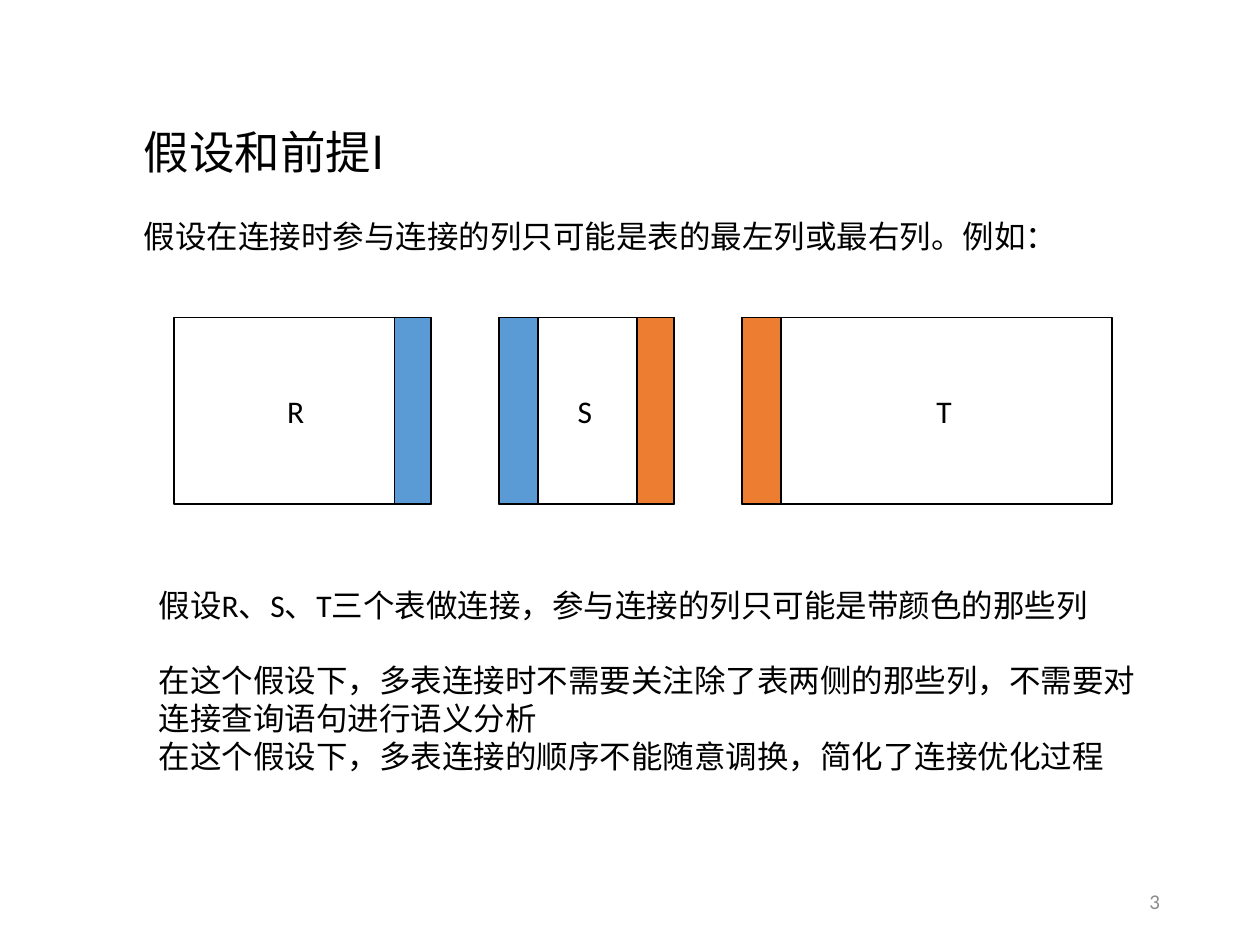
from pptx import Presentation
from pptx.dml.color import RGBColor
from pptx.enum import shapes, text
from pptx.oxml.ns import qn
from pptx.util import Pt

COLORS = {"black": "000000", "white": "FFFFFF", "blue": "5B9BD5",
          "orange": "ED7D31", "gray": "8C8C8C"}
LATIN, CJK = "Calibri", "Noto Sans CJK SC"
BLANK_LINE = 21.5


def color(name):
    return RGBColor.from_string(COLORS[name])


def place(shape, box):
    shape.left, shape.top, shape.width, shape.height = map(Pt, box)


def write(frame, lines, wrap=True, anchor=text.MSO_ANCHOR.TOP,
          align=text.PP_ALIGN.LEFT, ink="black"):
    """Fill a frame with lines of (words, size, font, space before)."""
    frame.word_wrap = wrap
    frame.auto_size = text.MSO_AUTO_SIZE.NONE
    frame.vertical_anchor = anchor
    for index, (words, size, font, gap) in enumerate(lines):
        para = frame.add_paragraph() if index else frame.paragraphs[0]
        para.text = words
        para.alignment = align
        para.line_spacing = 1.0
        para.space_before, para.space_after = Pt(gap), Pt(0)
        para.font.name, para.font.size = font, Pt(size)
        para.font.color.rgb = color(ink)


def add_heading(page, box):
    title = page.shapes.title
    place(title, box)
    write(title.text_frame, [
        ("假设和前提I", 26, CJK, 0),
        ("假设在连接时参与连接的列只可能是表的最左列或最右列。例如：", 18, LATIN, BLANK_LINE),
    ])


def add_rectangle(group, box, fill):
    rectangle = group.shapes.add_shape(shapes.MSO_SHAPE.RECTANGLE, *map(Pt, box))
    rectangle.shadow.inherit = False
    rectangle.fill.solid()
    rectangle.fill.fore_color.rgb = color(fill)
    rectangle.line.color.rgb = color("black")
    rectangle.line.width = Pt(1)


def add_relation(group, box, name, label_center, first=None, last=None):
    """Draw one relation, with its join columns coloured at the sides."""
    left, top, width, height = box
    first_width, last_width = 22.5, 21
    add_rectangle(group, box, "white")
    if first:
        add_rectangle(group, (left, top, first_width, height), first)
    if last:
        add_rectangle(group, (left + width - last_width, top, last_width, height), last)
    label = group.shapes.add_textbox(
        *map(Pt, (label_center - 12, top + height / 2 - 14.5, 24, 29)))
    write(label.text_frame, [(name, 18, LATIN, 0)], wrap=False)


def add_relations(page, top, height):
    group = page.shapes.add_group_shape()
    relations = [
        ("R", 99.5, 147, 169, None, "blue"),
        ("S", 285, 100, 335, "blue", "orange"),
        ("T", 424, 211.5, 540, "orange", None),
    ]
    for name, left, width, center, first, last in relations:
        add_relation(group, (left, top, width, height), name, center, first, last)


def add_conclusions(page, box):
    body = page.placeholders[1]
    place(body, box)
    write(body.text_frame, [
        ("假设R、S、T三个表做连接，参与连接的列只可能是带颜色的那些列", 18, LATIN, 0),
        ("在这个假设下，多表连接时不需要关注除了表两侧的那些列，不需要对连接查询语句进行语义分析",
         18, LATIN, BLANK_LINE),
        ("在这个假设下，多表连接的顺序不能随意调换，简化了连接优化过程", 18, LATIN, 0),
    ])
    # Plain paragraphs: no bullet, no hanging indent
    for para in body.text_frame.paragraphs:
        properties = para._p.get_or_add_pPr()
        properties.set("marL", "0")
        properties.set("indent", "0")
        bullet = properties.makeelement(qn("a:buNone"), {})
        properties.insert_element_before(bullet, "a:tabLst", "a:defRPr", "a:extLst")


def add_page_number(page, box, number):
    holder = page.shapes.add_textbox(*map(Pt, box))
    write(holder.text_frame, [(number, 12, LATIN, 0)], ink="gray",
          anchor=text.MSO_ANCHOR.MIDDLE, align=text.PP_ALIGN.RIGHT)


def main():
    deck = Presentation()
    deck.slide_width, deck.slide_height = Pt(720), Pt(540)
    page = deck.slides.add_slide(deck.slide_layouts[1])
    add_heading(page, (75, 67.5, 585, 82))
    add_relations(page, 181.5, 106.5)
    add_conclusions(page, (83.5, 331, 575, 138))
    add_page_number(page, (508, 500.5, 162, 29), "3")
    deck.save("out.pptx")


if __name__ == "__main__":
    main()
